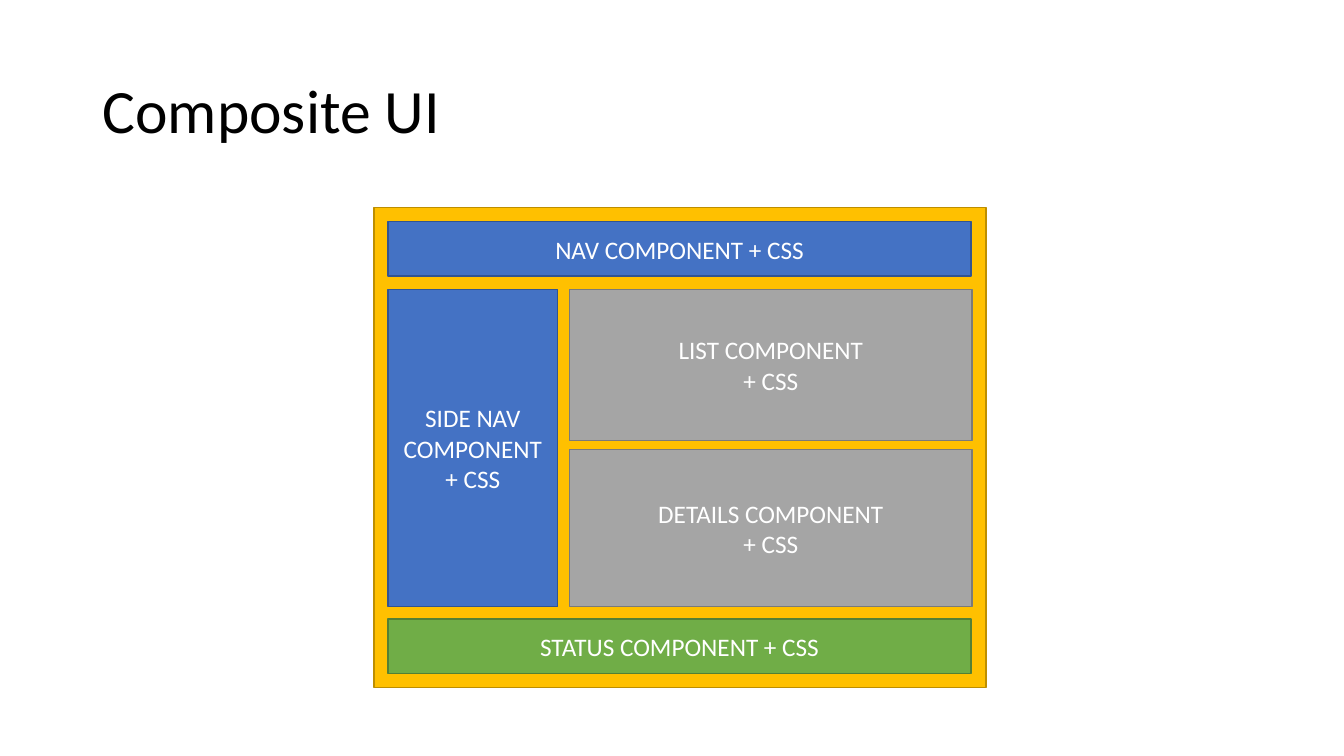
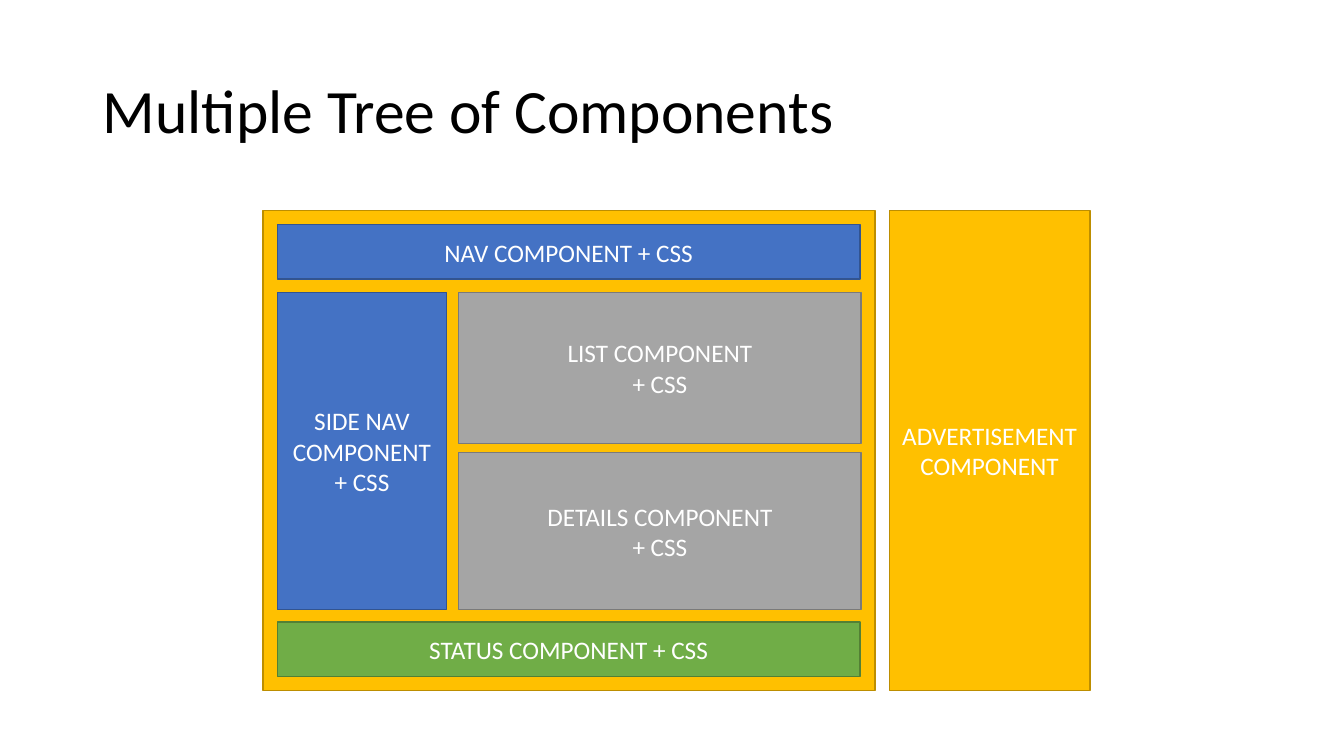
"""Build two slides that show a page composed of user interface components."""
from pptx import Presentation
from pptx.dml.color import RGBColor
from pptx.enum.shapes import MSO_SHAPE
from pptx.enum.text import MSO_ANCHOR, PP_ALIGN
from pptx.util import Inches, Pt

FONT = "Calibri"
YELLOW = ("FFC000", "BD8E00")
BLUE = ("4472C4", "325491")
GRAY = ("A5A5A5", "7A7A7A")
GREEN = ("70AD47", "538035")

PAGE_WIDTH, PAGE_HEIGHT = 6.07, 4.76
MARGIN = 0.14
BAR_WIDTH, BAR_HEIGHT = 5.78, 0.54
BODY_TOP, BODY_HEIGHT = 0.81, 3.15
SIDE_WIDTH, MAIN_WIDTH = 1.68, 3.99
LIST_HEIGHT, DETAILS_HEIGHT = 1.5, 1.56
MAIN_LEFT = MARGIN + BAR_WIDTH - MAIN_WIDTH + 0.01
DETAILS_TOP = BODY_TOP + BODY_HEIGHT - DETAILS_HEIGHT
STATUS_TOP = PAGE_HEIGHT - MARGIN - BAR_HEIGHT

COMPONENTS = [
    (0, 0, PAGE_WIDTH, PAGE_HEIGHT, YELLOW, []),
    (MARGIN, MARGIN, BAR_WIDTH, BAR_HEIGHT, BLUE, ["NAV COMPONENT + CSS"]),
    (MARGIN, BODY_TOP, SIDE_WIDTH, BODY_HEIGHT, BLUE, ["SIDE NAV COMPONENT", "+ CSS"]),
    (MAIN_LEFT, BODY_TOP, MAIN_WIDTH, LIST_HEIGHT, GRAY, ["LIST COMPONENT", "+ CSS"]),
    (MAIN_LEFT, DETAILS_TOP, MAIN_WIDTH, DETAILS_HEIGHT, GRAY, ["DETAILS COMPONENT", "+ CSS"]),
    (MARGIN, STATUS_TOP, BAR_WIDTH, BAR_HEIGHT, GREEN, ["STATUS COMPONENT + CSS"]),
]
ADVERTISEMENT = (PAGE_WIDTH + MARGIN, 0, 1.99, PAGE_HEIGHT, YELLOW,
                 ["ADVERTISEMENT", "COMPONENT"])

SLIDES = [
    ("Composite UI", 3.71, 2.06, COMPONENTS),
    ("Multiple Tree of Components", 2.61, 2.09, COMPONENTS + [ADVERTISEMENT]),
]


def color(value):
    return RGBColor.from_string(value)


def write(shape, lines, size, text_color, alignment):
    frame = shape.text_frame
    frame.word_wrap = True
    frame.vertical_anchor = MSO_ANCHOR.MIDDLE
    frame.text = "\n".join(lines)
    for paragraph in frame.paragraphs:
        paragraph.alignment = alignment
        paragraph.font.name = FONT
        paragraph.font.size = Pt(size)
        paragraph.font.color.rgb = color(text_color)


presentation = Presentation()
presentation.slide_width = Inches(13.33)
presentation.slide_height = Inches(7.5)

for title, page_left, page_top, components in SLIDES:
    slide = presentation.slides.add_slide(presentation.slide_layouts[6])
    title_box = slide.shapes.add_textbox(Inches(0.92), Inches(0.4), Inches(11.5), Inches(1.45))
    write(title_box, [title], 44, "000000", PP_ALIGN.LEFT)
    title_box.text_frame.paragraphs[0].line_spacing = 0.9

    for left, top, width, height, (fill, line), lines in components:
        shape = slide.shapes.add_shape(
            MSO_SHAPE.RECTANGLE, Inches(page_left + left), Inches(page_top + top),
            Inches(width), Inches(height))
        shape.shadow.inherit = False
        shape.fill.solid()
        shape.fill.fore_color.rgb = color(fill)
        shape.line.color.rgb = color(line)
        shape.line.width = Pt(1)
        if lines:
            write(shape, lines, 18, "FFFFFF", PP_ALIGN.CENTER)

presentation.save("out.pptx")
